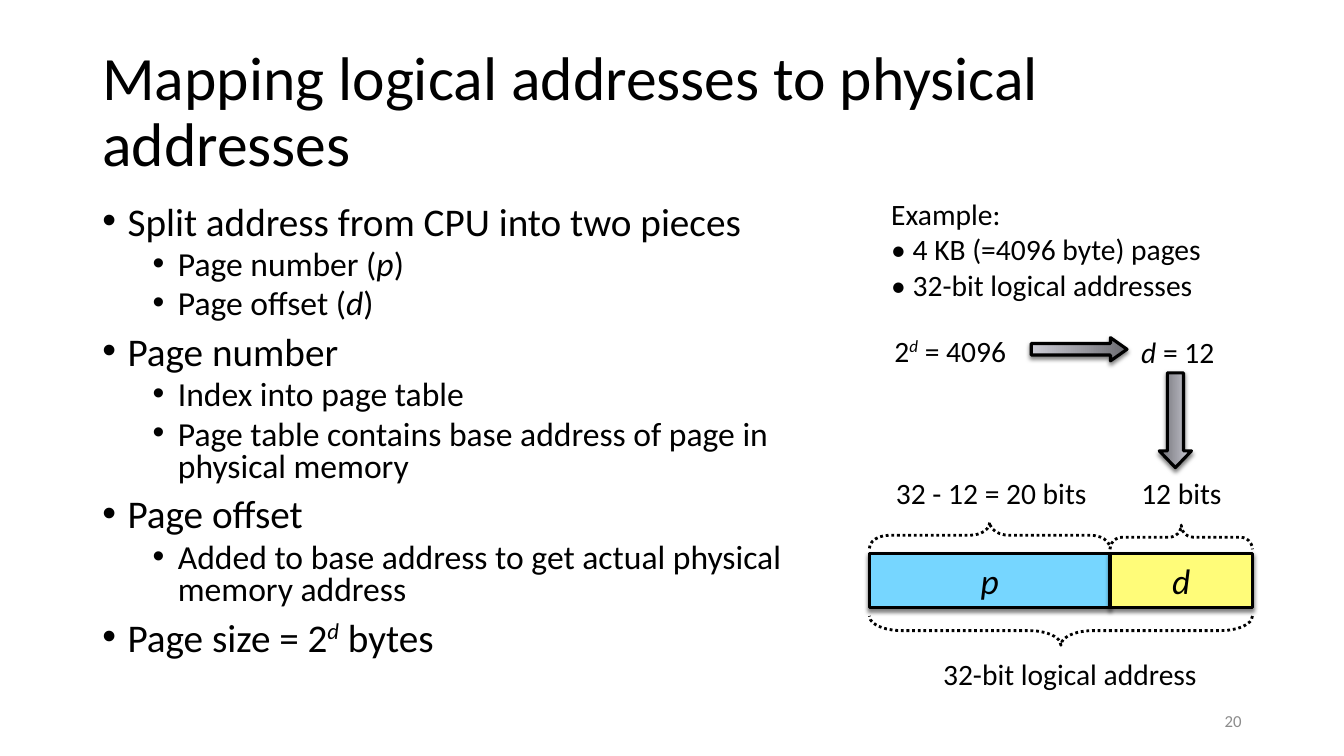
from dataclasses import dataclass
from lxml.etree import SubElement as Sub
from pptx import Presentation
from pptx.dml.color import RGBColor as RGB
from pptx.enum.dml import MSO_LINE as Dash
from pptx.enum.shapes import MSO_SHAPE as Kind
from pptx.enum.text import MSO_ANCHOR as Anchor, PP_ALIGN as Align
from pptx.oxml.ns import qn
from pptx.util import Pt


@dataclass(frozen=True)
class Theme:
    font: str = "Calibri"
    ink: str = "000000"
    grey: str = "8C8C8C"
    blue: str = "76D6FF"
    yellow: str = "FFFC79"
    light: str = "CDCDD6"
    dark: str = "6C6C72"
    title: float = 44
    body: tuple = (28, 24)
    label: float = 21.1
    field: float = 25.3
    page: float = 12
    edge: float = 2.25
    dots: float = 2


THEME = Theme()

POINTS = [
    (0, [("Split address from CPU into two pieces", "")]),
    (1, [("Page number (", ""), ("p", "i"), (")", "")]),
    (1, [("Page offset (", ""), ("d", "i"), (")", "")]),
    (0, [("Page number", "")]),
    (1, [("Index into page table", "")]),
    (1, [("Page table contains base address of page in physical memory", "")]),
    (0, [("Page offset", "")]),
    (1, [("Added to base address to get actual physical memory address", "")]),
    (0, [("Page size = 2", ""), ("d", "sup"), (" bytes", "")]),
]


def add_runs(para, runs, size, color=THEME.ink):
    for text, style in runs:
        run = para.add_run()
        run.text = text
        font = run.font
        font.name, font.size = THEME.font, Pt(size)
        font.color.rgb = RGB.from_string(color)
        if style:
            font.italic = True
        if style == "sup":
            run._r.get_or_add_rPr().set("baseline", "32000")


def indent(para, left, first=0):
    props = para._p.get_or_add_pPr()
    props.set("marL", str(Pt(left)))
    props.set("indent", str(Pt(first)))
    return props


def set_frame(frame, inset=None, wrap=True, anchor=Anchor.MIDDLE):
    frame.word_wrap = wrap
    frame.vertical_anchor = anchor
    if inset is not None:
        frame.margin_left = frame.margin_right = Pt(inset)
        frame.margin_top = frame.margin_bottom = Pt(inset)


def add_box(slide, box, **frame):
    text = slide.shapes.add_textbox(*map(Pt, box)).text_frame
    set_frame(text, **frame)
    return text


def add_line(slide, box, runs, size, color=THEME.ink, align=Align.LEFT, space=1):
    para = add_box(slide, box).paragraphs[0]
    para.alignment, para.line_spacing = align, space
    add_runs(para, runs, size, color)


def add_list(slide, box, points):
    text = add_box(slide, box, anchor=Anchor.TOP)
    for i, (level, runs) in enumerate(points):
        para = text.add_paragraph() if i else text.paragraphs[0]
        para.level = level
        para.line_spacing = 0.8
        para.space_before = Pt(5 if level else 10)
        props = indent(para, 18 + 36 * level, -18)
        Sub(props, qn("a:buFont")).set("typeface", "Arial")
        Sub(props, qn("a:buChar")).set("char", "•")
        add_runs(para, runs, THEME.body[level])


def add_label(slide, box, lines, left, align=Align.LEFT):
    text = add_box(slide, box, inset=3, wrap=False)
    for i, runs in enumerate(lines):
        para = text.add_paragraph() if i else text.paragraphs[0]
        para.alignment = align
        indent(para, left)
        add_runs(para, runs, THEME.label)


def add_shade(shape):
    props = shape._element.spPr
    for old in props.findall(qn("a:effectLst")):
        props.remove(old)
    shade = Sub(Sub(props, qn("a:effectLst")), qn("a:outerShdw"))
    for name, value in (("blurRad", Pt(3)), ("dist", Pt(2)), ("dir", 5400000)):
        shade.set(name, str(value))
    shade.set("rotWithShape", "0")
    color = Sub(shade, qn("a:srgbClr"))
    color.set("val", THEME.ink)
    Sub(color, qn("a:alpha")).set("val", "50000")


def add_shape(slide, kind, box, width):
    shape = slide.shapes.add_shape(kind, *map(Pt, box))
    shape.shadow.inherit = False
    shape.line.color.rgb = RGB.from_string(THEME.ink)
    shape.line.width = Pt(width)
    return shape


def add_field(slide, box, name, color):
    shape = add_shape(slide, Kind.RECTANGLE, box, THEME.edge)
    shape.fill.solid()
    shape.fill.fore_color.rgb = RGB.from_string(color)
    add_shade(shape)
    set_frame(shape.text_frame, inset=3)
    para = shape.text_frame.paragraphs[0]
    para.alignment = Align.CENTER
    add_runs(para, [(name, "i")], THEME.field)


def add_arrow(slide, box, head, turn, angle):
    shape = add_shape(slide, Kind.RIGHT_ARROW, box, THEME.edge)
    shape.rotation = turn
    shape.adjustments[1] = head
    shape.fill.gradient()
    shape.fill.gradient_angle = angle
    for stop, color in zip(shape.fill.gradient_stops, (THEME.light, THEME.dark)):
        stop.color.rgb = RGB.from_string(color)
    add_shade(shape)


def add_brace(slide, kind, left, top, span, depth, curve):
    x, y = left + (span - depth) / 2, top + (depth - span) / 2
    shape = add_shape(slide, kind, (x, y, depth, span), THEME.dots)
    shape.rotation = 90
    shape.adjustments[0] = curve
    shape.fill.background()
    shape.line.dash_style = Dash.ROUND_DOT


def main():
    deck = Presentation()
    deck.slide_width, deck.slide_height = Pt(960), Pt(540)
    slide = deck.slides.add_slide(deck.slide_layouts[6])

    title = [("Mapping logical addresses to physical addresses", "")]
    add_line(slide, (66, 28.75, 828, 104.4), title, THEME.title, space=0.9)
    add_list(slide, (66, 143.75, 528, 342.7), POINTS)
    add_line(slide, (678, 500.5, 216, 28.75), [("20", "")],
             THEME.page, THEME.grey, Align.RIGHT)

    add_label(slide, (630, 136.8, 236.9, 82), [
        [("Example:", "")],
        [("• 4 KB (=4096 byte) pages", "")],
        [("• 32-bit logical addresses", "")],
    ], 3.6)
    add_label(slide, (632.2, 234.7, 95, 31),
              [[("2", ""), ("d", "sup"), (" = 4096", "")]], 3.6)
    add_label(slide, (806.4, 235.4, 66.2, 31),
              [[("d", "i"), (" = 12", "")]], 3.6, Align.CENTER)
    add_label(slide, (627.8, 336.2, 154.8, 31),
              [[("32 - 12 = 20 bits", "")]], 5.8, Align.CENTER)
    add_label(slide, (806.4, 336.2, 74.9, 31), [[("12 bits", "")]], 5.8)
    add_label(slide, (662.4, 465.8, 198, 31),
              [[("32-bit logical address", "")]], 5.8, Align.CENTER)

    add_arrow(slide, (736.6, 241.2, 68.4, 16.6), 0.71, 0, 0)
    add_arrow(slide, (805.7, 288.7, 67.7, 23), 0.52, 90, 270)

    left, wide, slim = 621, 171.9, 101.7
    add_brace(slide, Kind.LEFT_BRACE, left, 373, wide, 18.7, 0.75)
    add_brace(slide, Kind.LEFT_BRACE, left + wide, 375.1, slim, 17.3, 0.5)
    add_brace(slide, Kind.RIGHT_BRACE, left, 440, wide + slim, 20.9, 1.1)
    add_field(slide, (left, 395.3, wide, 38.9), "p", THEME.blue)
    add_field(slide, (left + wide, 395.3, slim, 38.9), "d", THEME.yellow)

    deck.save("out.pptx")


if __name__ == "__main__":
    main()
